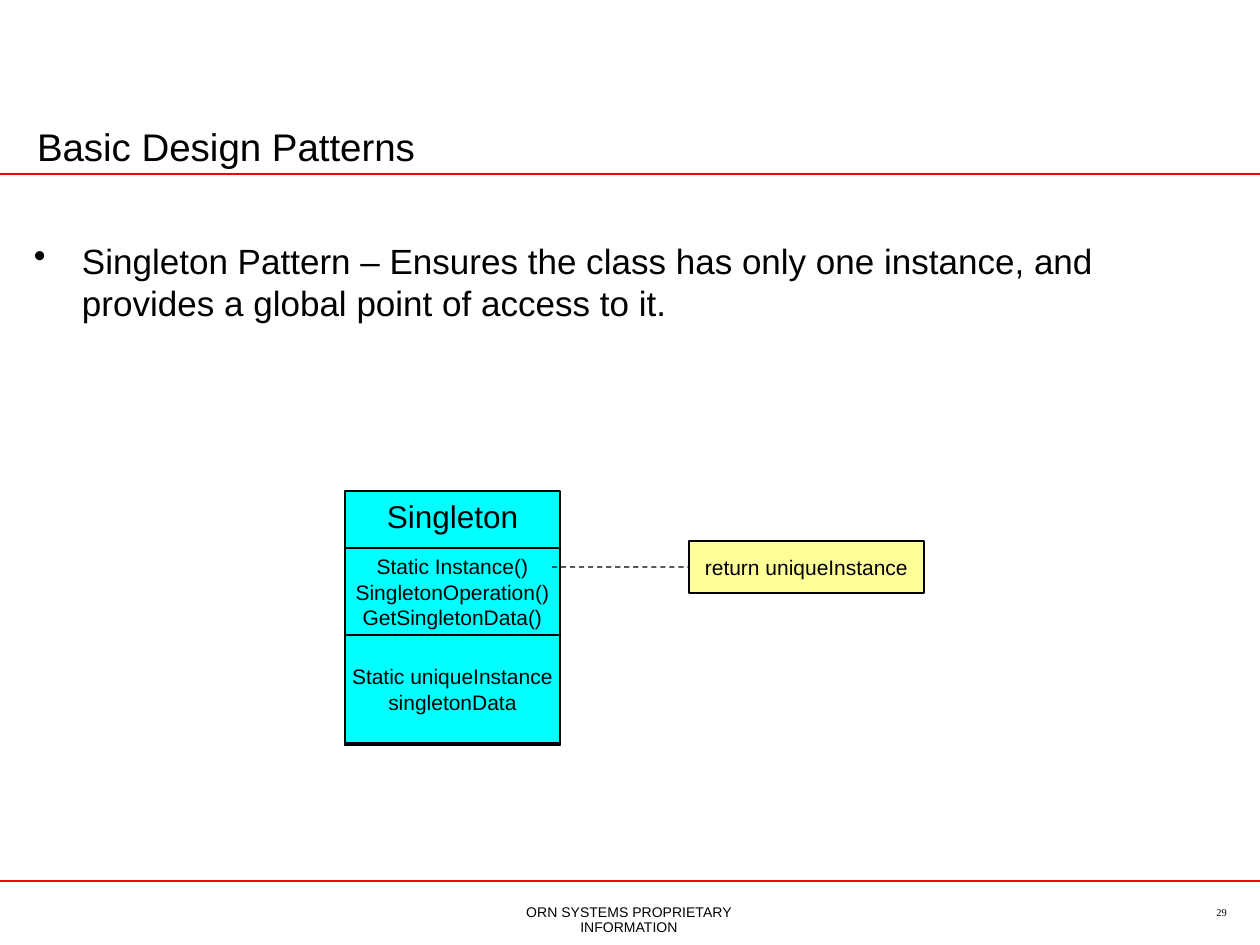
from dataclasses import dataclass

from pptx import Presentation
from pptx import util as u
from pptx.dml import color
from pptx.enum import dml, shapes, text
from pptx.oxml import xmlchemy

PX = 914400 / 126
COLORS = {"ink": "000000", "rule": "FF0000", "class": "00FFFF", "note": "FFFF99"}
LEFT, CENTER, RIGHT = text.PP_ALIGN.LEFT, text.PP_ALIGN.CENTER, text.PP_ALIGN.RIGHT
TOP, MIDDLE, BOTTOM = text.MSO_ANCHOR.TOP, text.MSO_ANCHOR.MIDDLE, text.MSO_ANCHOR.BOTTOM


@dataclass
class Block:
    lines: list[str]
    box: tuple[int, int, int, int]
    size: int
    align: text.PP_ALIGN = CENTER
    anchor: text.MSO_ANCHOR = TOP
    fill: str = ""
    font: str = "Arial"
    wrap: bool = False
    inset: tuple[int, int] = (13, 6)
    spacing: float = 1.0
    bullet: bool = False


@dataclass
class Line:
    start: tuple[int, int]
    end: tuple[int, int]
    color: str
    width: float
    dash: bool = False


def px(n: int) -> u.Emu:
    return u.Emu(round(n * PX))


def rgb(name: str) -> color.RGBColor:
    return color.RGBColor.from_string(COLORS[name])


def set_all(obj, values: dict) -> None:
    for name, value in values.items():
        setattr(obj, name, value)


def add_bullet(p) -> None:
    pPr = p._p.get_or_add_pPr()
    pPr.set("marL", str(px(48)))
    pPr.set("indent", str(-px(48)))
    bu = xmlchemy.OxmlElement("a:buChar")
    bu.set("char", "•")
    pPr.append(bu)


def draw_block(s, b: Block):
    box = [px(n) for n in b.box]
    if b.fill:
        sp = s.shapes.add_shape(shapes.MSO_SHAPE.RECTANGLE, *box)
        sp.shadow.inherit = False
        sp.fill.solid()
        sp.fill.fore_color.rgb = rgb(b.fill)
        sp.line.color.rgb = rgb("ink")
        sp.line.width = u.Pt(0.75)
    else:
        sp = s.shapes.add_textbox(*box)
    tf = sp.text_frame
    dx, dy = (px(n) for n in b.inset)
    set_all(tf, {"word_wrap": b.wrap, "vertical_anchor": b.anchor,
                 "margin_left": dx, "margin_right": dx,
                 "margin_top": dy, "margin_bottom": dy})
    for i, line in enumerate(b.lines):
        p = tf.add_paragraph() if i else tf.paragraphs[0]
        set_all(p, {"alignment": b.align, "line_spacing": b.spacing})
        if b.bullet:
            add_bullet(p)
        r = p.add_run()
        r.text = line
        set_all(r.font, {"name": b.font, "size": u.Pt(b.size)})
        r.font.color.rgb = rgb("ink")
    return sp


def draw_line(s, ln: Line):
    cx = s.shapes.add_connector(shapes.MSO_CONNECTOR.STRAIGHT,
                                *(px(n) for n in ln.start + ln.end))
    cx.line.color.rgb = rgb(ln.color)
    cx.line.width = u.Pt(ln.width)
    if ln.dash:
        cx.line.dash_style = dml.MSO_LINE.DASH
    cx._element.spPr.append(xmlchemy.OxmlElement("a:effectLst"))
    return cx


RULES = [Line((0, y), (1260, y), "rule", 1) for y in (174, 881)]

TEXTS = [
    Block(["ORN SYSTEMS PROPRIETARY INFORMATION"], (476, 905, 306, 15), 8,
          inset=(0, 0), spacing=0.9),
    Block(["Basic Design Patterns"], (24, 100, 1188, 75), 22, LEFT, BOTTOM, wrap=True),
    Block(["Singleton Pattern – Ensures the class has only one instance, "
           "and provides a global point of access to it."],
          (21, 233, 1189, 193), 20, LEFT, wrap=True, bullet=True),
    Block(["29"], (978, 900, 262, 28), 6, RIGHT, font="Times New Roman", wrap=True),
]

CLASS_BOXES = [
    Block(["Singleton"], (345, 491, 215, 254), 18, fill="class"),
    Block(["Static Instance()", "SingletonOperation()", "GetSingletonData()"],
          (345, 548, 215, 197), 12, fill="class"),
    Block(["Static uniqueInstance", "singletonData"],
          (345, 635, 215, 108), 12, anchor=MIDDLE, fill="class"),
]

NOTE = Block(["return uniqueInstance"], (689, 541, 235, 52), 12,
             anchor=MIDDLE, fill="note")
NOTE_LINK = Line((552, 567), (689, 567), "ink", 0.75, dash=True)


def main() -> None:
    prs = Presentation()
    set_all(prs, {"slide_width": px(1260), "slide_height": px(945)})
    s = prs.slides.add_slide(prs.slide_layouts[6])
    for rule in RULES:
        draw_line(s, rule)
    for block in TEXTS + CLASS_BOXES:
        draw_block(s, block)
    note = draw_block(s, NOTE)
    draw_line(s, NOTE_LINK).end_connect(note, 1)
    prs.save("out.pptx")


if __name__ == "__main__":
    main()
